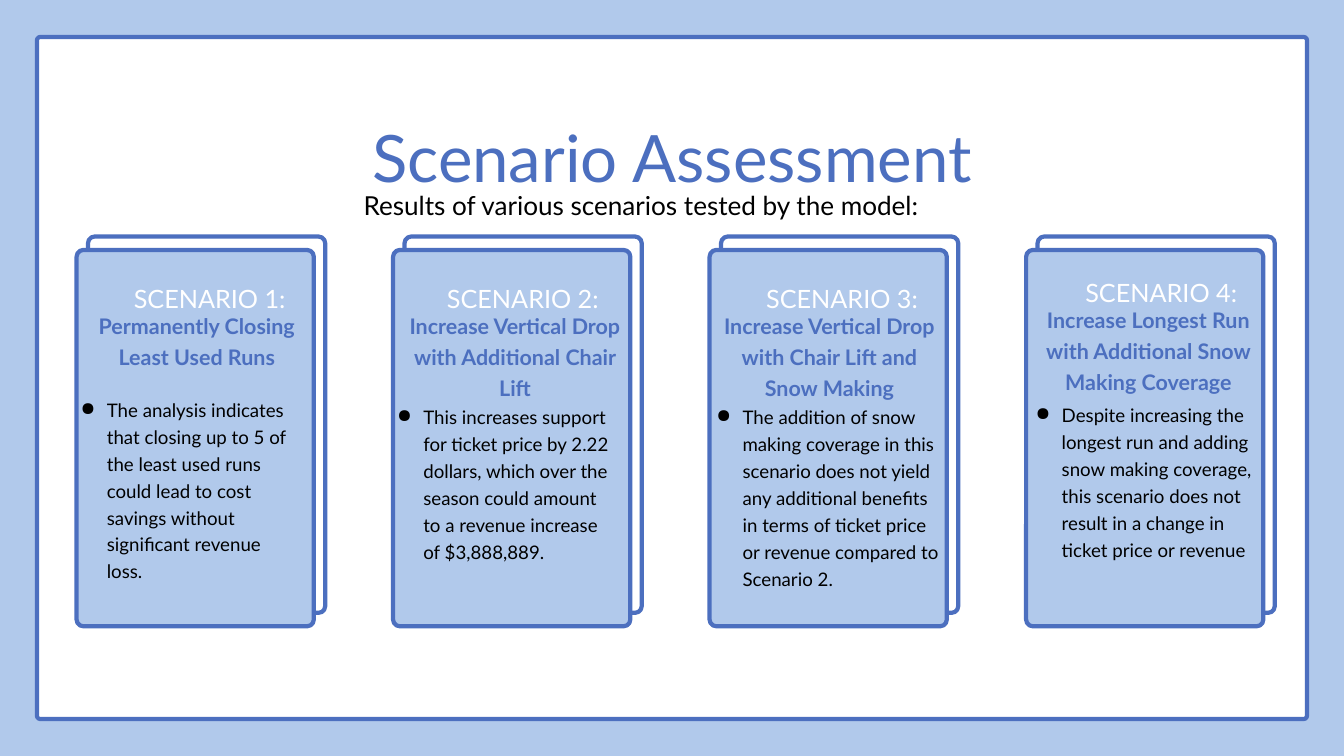
from typing import NamedTuple

from lxml.etree import SubElement
from pptx import Presentation
from pptx.dml.color import RGBColor as RGB
from pptx.enum.shapes import MSO_SHAPE as SHAPE
from pptx.enum.text import MSO_AUTO_SIZE as AUTO, PP_ALIGN as ALIGN
from pptx.oxml.ns import qn
from pptx.util import Inches, Pt

COLORS = {"sky": "B1C9EB", "blue": "4C6FBF", "white": "FFFFFF", "black": "000000"}
FONT = "Lato"
CARD_LEFT, CARD_PITCH = 1.14, 4.71
CARD_W, CARD_H, CARD_RADIUS = 3.53, 5.6, 0.1
FRONT_TOP, BACK_TOP, BACK_SHIFT = 3.72, 3.52, 0.17


class Box(NamedTuple):
    left: float
    top: float
    width: float
    height: float


class Scenario(NamedTuple):
    label_box: Box
    heading: str
    heading_box: Box
    finding: str
    finding_box: Box


SCENARIOS = [
    Scenario(
        Box(1.77, 4.12, 2.7, 0.45),
        "Permanently Closing Least Used Runs", Box(1.09, 4.58, 3.68, 0.85),
        "The analysis indicates that closing up to 5 of the least used runs could "
        "lead to cost savings without significant revenue loss.",
        Box(1.09, 5.87, 3.37, 2.76)),
    Scenario(
        Box(6.43, 4.12, 2.7, 0.45),
        "Increase Vertical Drop with Additional Chair Lift", Box(5.9, 4.58, 3.53, 1.32),
        "This increases support for ticket price by 2.22 dollars, which over the "
        "season could amount to a revenue increase of $3,888,889.",
        Box(5.8, 5.98, 3.37, 2.36)),
    Scenario(
        Box(11.18, 4.12, 2.7, 0.45),
        "Increase Vertical Drop with Chair Lift and Snow Making", Box(10.66, 4.58, 3.37, 1.32),
        "The addition of snow making coverage in this scenario does not yield any "
        "additional benefits in terms of ticket price or revenue compared to Scenario 2.",
        Box(10.55, 5.98, 3.49, 2.76)),
    Scenario(
        Box(15.93, 4.04, 2.7, 0.45),
        "Increase Longest Run with Additional Snow Making Coverage", Box(15.25, 4.49, 3.68, 1.32),
        "Despite increasing the longest run and adding snow making coverage, this "
        "scenario does not result in a change in ticket price or revenue",
        Box(15.3, 5.95, 3.37, 2.76)),
]


def color(name: str) -> RGB:
    return RGB.from_string(COLORS[name])


def add_panel(slide, box: Box, fill: str, radius: float) -> None:
    """Draw an outlined rounded panel."""
    sp = slide.shapes.add_shape(SHAPE.ROUNDED_RECTANGLE, *map(Inches, box))
    sp.adjustments[0] = radius / min(box.width, box.height)
    sp.shadow.inherit = False
    sp.fill.solid()
    sp.fill.fore_color.rgb = color(fill)
    sp.line.color.rgb = color("blue")
    sp.line.width = Pt(4.5)


def add_bullet(p) -> None:
    """Give a paragraph a hanging round bullet."""
    pPr = p._p.get_or_add_pPr()
    pPr.set("marL", str(Inches(0.5)))
    pPr.set("indent", str(Inches(-0.39)))
    bullet_color = SubElement(pPr, qn("a:buClr"))
    SubElement(bullet_color, qn("a:srgbClr"), val=COLORS["black"])
    SubElement(pPr, qn("a:buChar"), char="●")


def add_text(slide, text: str, box: Box, *, size: float, fill: str = "black",
             bold: bool = False, align: ALIGN = ALIGN.CENTER,
             spacing: float = 1.2, bullet: bool = False) -> None:
    """Draw one paragraph of text in a box without margins."""
    tf = slide.shapes.add_textbox(*map(Inches, box)).text_frame
    tf.word_wrap = True
    tf.auto_size = AUTO.SHAPE_TO_FIT_TEXT
    tf.margin_left = tf.margin_top = tf.margin_right = tf.margin_bottom = 0
    p = tf.paragraphs[0]
    p.alignment = align
    p.line_spacing = spacing
    if bullet:
        add_bullet(p)
    r = p.add_run()
    r.text = text
    r.font.name = FONT
    r.font.size = Pt(size)
    r.font.bold = bold
    r.font.color.rgb = color(fill)


def add_scenario(slide, index: int, scenario: Scenario) -> None:
    """Draw a double card with its label, heading and finding."""
    left = CARD_LEFT + index * CARD_PITCH
    add_panel(slide, Box(left + BACK_SHIFT, BACK_TOP, CARD_W, CARD_H), "white", CARD_RADIUS)
    add_panel(slide, Box(left, FRONT_TOP, CARD_W, CARD_H), "sky", CARD_RADIUS)
    add_text(slide, f"SCENARIO {index + 1}:", scenario.label_box, size=27, fill="white")
    add_text(slide, scenario.heading, scenario.heading_box, size=23, fill="blue", bold=True)
    add_text(slide, scenario.finding, scenario.finding_box, size=20,
             align=ALIGN.LEFT, bullet=True)


def main() -> None:
    prs = Presentation()
    prs.slide_width, prs.slide_height = Inches(20), Inches(11.25)
    slide = prs.slides.add_slide(prs.slide_layouts[6])

    # Background and frame
    slide.background.fill.solid()
    slide.background.fill.fore_color.rgb = color("sky")
    add_panel(slide, Box(0.55, 0.55, 18.9, 10.15), "white", 0.05)

    # Title and introduction
    add_text(slide, "Scenario Assessment", Box(4.09, 1.54, 11.82, 1.18),
             size=70, fill="blue", spacing=1.18)
    add_text(slide, "Results of various scenarios tested by the model:",
             Box(5.41, 2.72, 9.35, 0.95), size=28, align=ALIGN.LEFT)

    # Scenario cards
    for index, scenario in enumerate(SCENARIOS):
        add_scenario(slide, index, scenario)

    prs.save("out.pptx")


if __name__ == "__main__":
    main()
